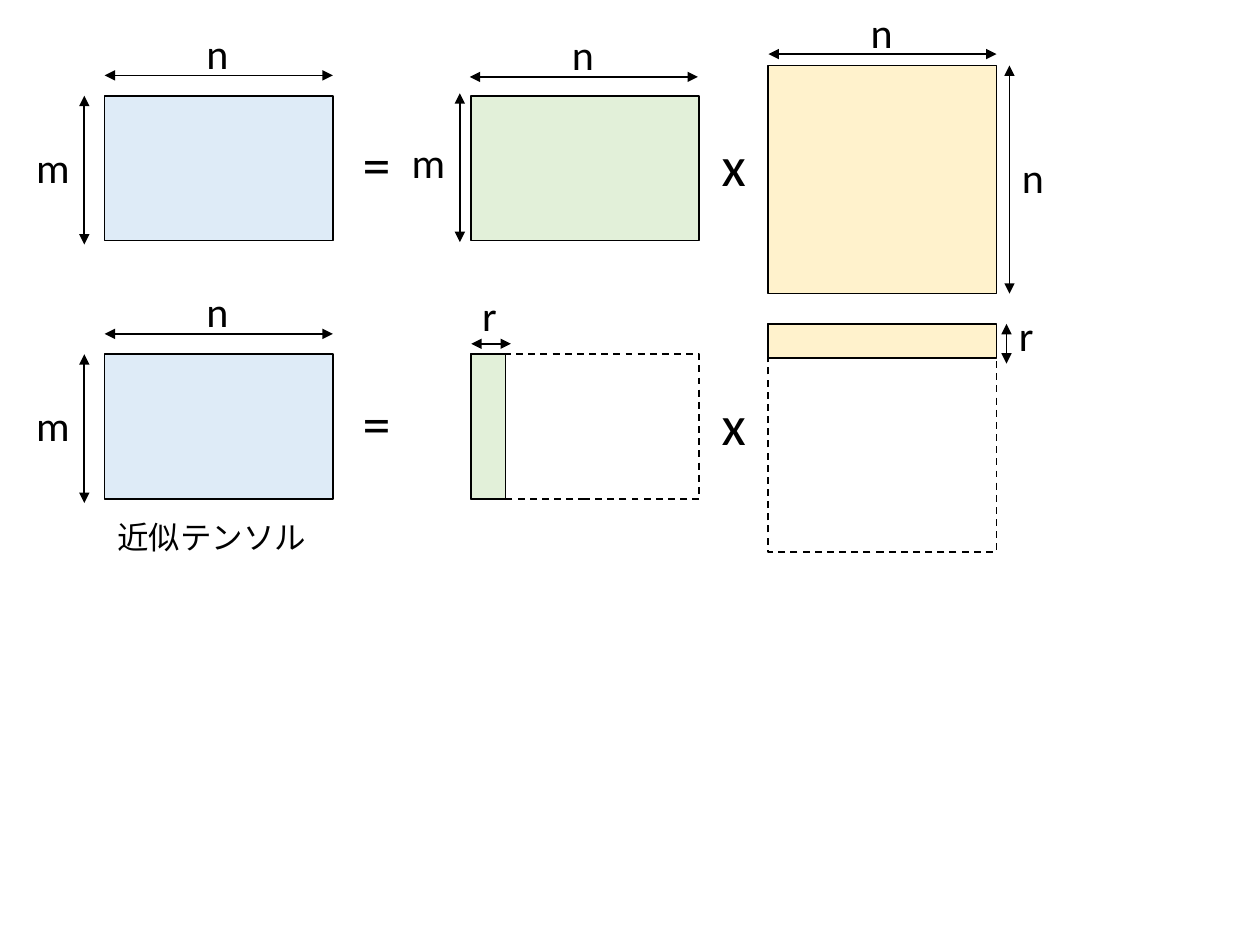
from dataclasses import dataclass

from lxml import etree
from pptx import Presentation
from pptx.dml.color import RGBColor
from pptx.enum.dml import MSO_LINE
from pptx.enum.shapes import MSO_CONNECTOR, MSO_SHAPE
from pptx.enum.text import MSO_AUTO_SIZE
from pptx.oxml.ns import qn
from pptx.util import Cm, Pt

RECT = MSO_SHAPE.RECTANGLE
STRAIGHT = MSO_CONNECTOR.STRAIGHT
DASH = MSO_LINE.DASH
FIT = MSO_AUTO_SIZE.SHAPE_TO_FIT_TEXT


@dataclass(frozen=True)
class Theme:
    """Colours, font, type sizes and line width of the diagram."""
    ink: str = "000000"
    white: str = "FFFFFF"
    blue: str = "DEEBF7"
    green: str = "E2F0D9"
    yellow: str = "FFF2CC"
    font: str = "Calibri"
    label: int = 24
    operator: int = 32
    caption: int = 18
    line: int = 1


class Diagram:
    """Draws matrices, dimension arrows and labels on one slide."""

    def __init__(self, slide, theme):
        """Keep the slide and its theme."""
        self.s = slide
        self.theme = theme

    def outline(self, line):
        """Give a line the common colour and width."""
        line.color.rgb = RGBColor.from_string(self.theme.ink)
        line.width = Pt(self.theme.line)

    def matrix(self, x, y, w, h, fill, dashed=False):
        """Add a matrix as an outlined rectangle."""
        sp = self.s.shapes.add_shape(RECT, Cm(x), Cm(y), Cm(w), Cm(h))
        sp.shadow.inherit = False
        sp.fill.solid()
        sp.fill.fore_color.rgb = RGBColor.from_string(fill)
        self.outline(sp.line)
        if dashed:
            sp.line.dash_style = DASH

    def arrow(self, x, y, dx=0, dy=0):
        """Add a double-headed dimension arrow."""
        cx = self.s.shapes.add_connector(
            STRAIGHT, Cm(x), Cm(y), Cm(x + dx), Cm(y + dy))
        self.outline(cx.line)
        ln = cx.line._get_or_add_ln()
        for end in ("a:headEnd", "a:tailEnd"):
            etree.SubElement(ln, qn(end), type="triangle")
        etree.SubElement(cx._element.spPr, qn("a:effectLst"))

    def text(self, text, x, y, w, h, size, wrap=False):
        """Add a one-line text box."""
        sp = self.s.shapes.add_textbox(Cm(x), Cm(y), Cm(w), Cm(h))
        tf = sp.text_frame
        tf.word_wrap = wrap
        tf.auto_size = FIT
        r = tf.paragraphs[0].add_run()
        r.text = text
        r.font.name = self.theme.font
        r.font.size = Pt(size)
        r.font.color.rgb = RGBColor.from_string(self.theme.ink)

    def label(self, text, x, y):
        """Add a dimension name."""
        width = {"m": 1.19, "n": 0.97, "r": 0.81}[text]
        self.text(text, x, y, width, 1.27, self.theme.label)

    def operator(self, text, x, y, w, wrap=False):
        """Add an operator sign."""
        self.text(text, x, y, w, 1.62, self.theme.operator, wrap)


def main():
    """Build the low-rank factorisation slide."""
    prs = Presentation()
    prs.slide_width, prs.slide_height = Cm(25.4), Cm(19.05)
    theme = Theme()
    d = Diagram(prs.slides.add_slide(prs.slide_layouts[6]), theme)

    n, m, rank = 4.6, 2.92, 0.69
    m_span = 3
    left, middle, right = 2.11, 9.5, 15.49
    top, square_top, pitch = 1.93, 1.32, 5.21
    low_top, low_square_top = top + pitch, square_top + pitch

    for dy in (0, pitch):
        d.matrix(left, top + dy, n, m, theme.blue)
        d.label("m", 0.48, 2.72 + dy)
        d.arrow(1.7, top + dy, dy=m_span)
        d.arrow(left, 1.52 + dy, dx=n)
        d.label("n", 3.91, 0.43 + dy)
        d.operator("=", 7.06, 2.49 + dy, 1.09)
        d.operator("x", 14.3, 2.51 + dy, 1.14, wrap=True)

    d.matrix(middle, top, n, m, theme.green)
    d.arrow(9.47, 1.55, dx=n)
    d.label("n", 11.28, 0.46)
    d.arrow(9.27, 1.88, dy=m_span)
    d.label("m", 8.05, 2.62)

    d.matrix(right, square_top, n, n, theme.yellow)
    d.arrow(right, 1.09, dx=n)
    d.label("n", 17.3, 0)
    d.arrow(20.35, square_top, dy=n)
    d.label("n", 20.35, 2.92)

    d.matrix(middle, low_top, n, m, theme.white, dashed=True)
    d.matrix(middle, low_top, rank, m, theme.green)
    d.arrow(middle, 6.93, dx=0.8)
    d.label("r", 9.47, 5.72)

    d.matrix(right, low_square_top, n, n, theme.white, dashed=True)
    d.matrix(right, low_square_top, n, rank, theme.yellow)
    d.arrow(20.29, low_square_top, dy=0.8)
    d.label("r", 20.29, 6.12)

    d.text("近似テンソル", left, 10.31, 4.37, 1.02, theme.caption)
    prs.save("out.pptx")


if __name__ == "__main__":
    main()
